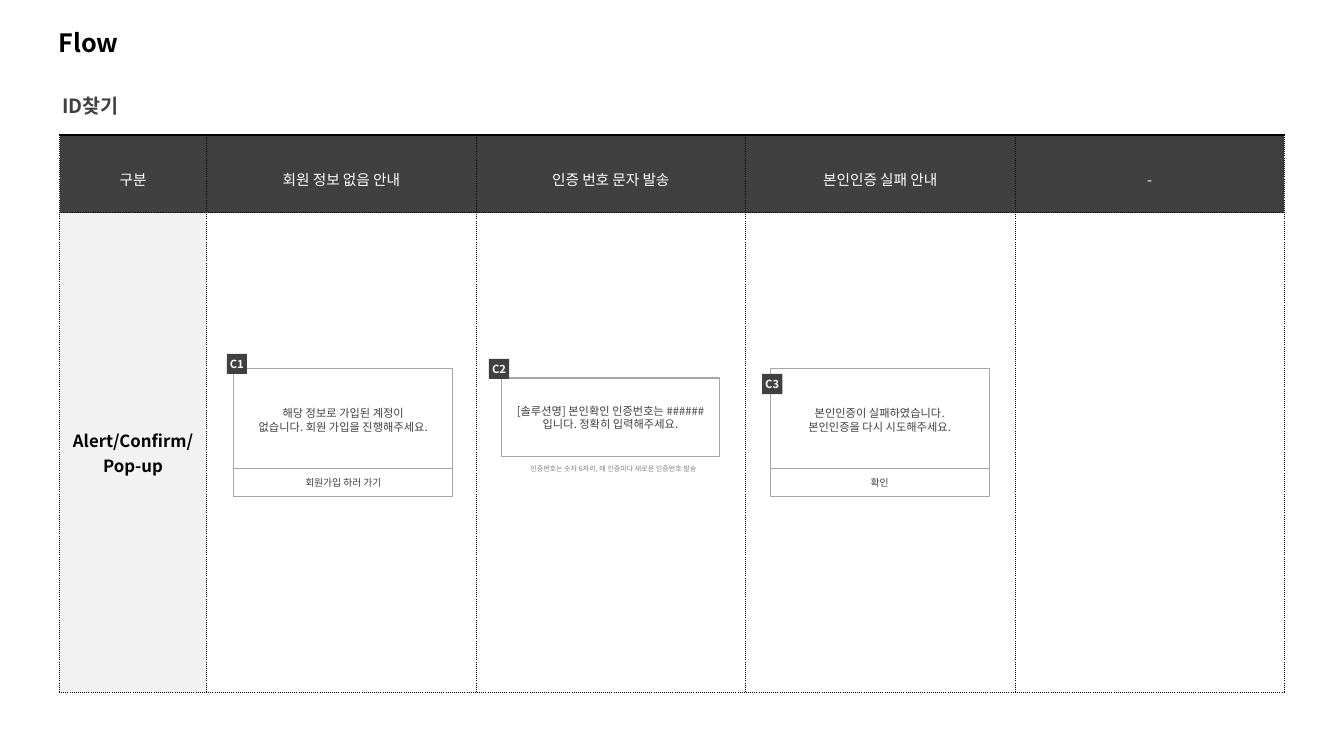
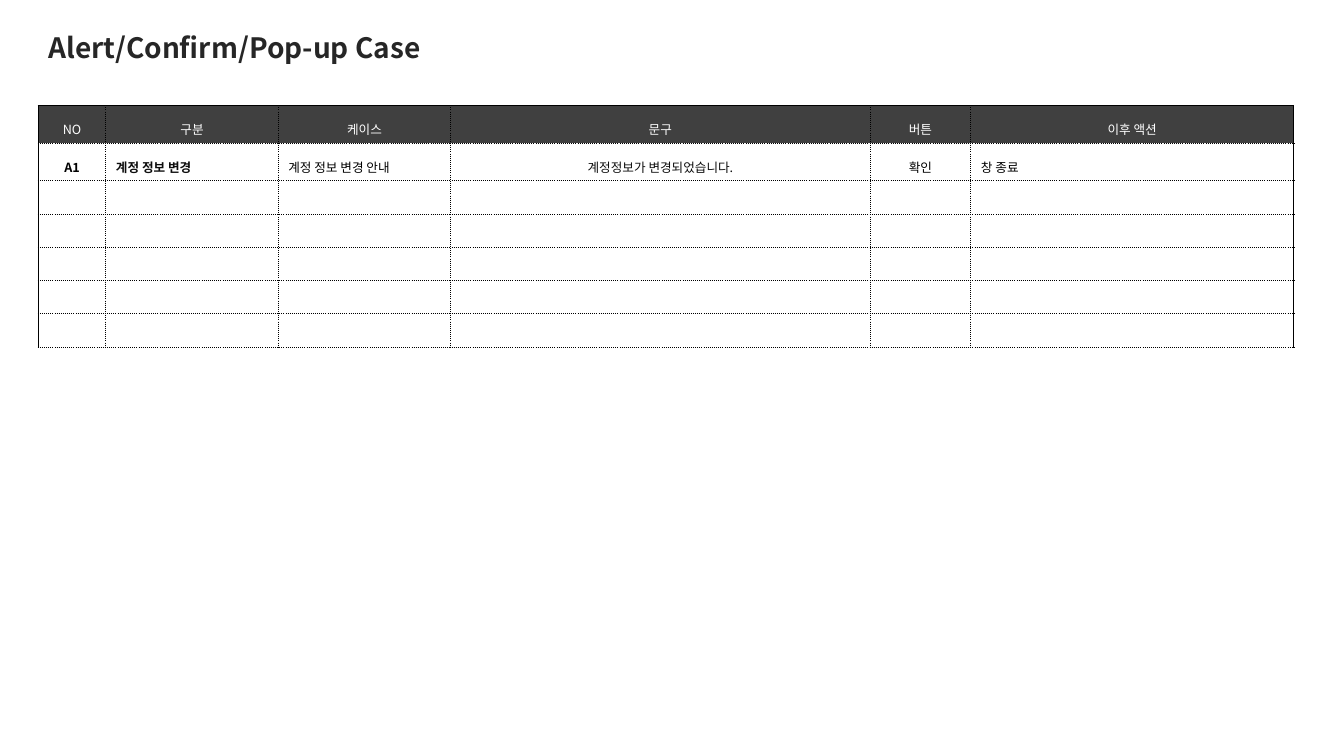
from lxml import etree
from pptx import Presentation
from pptx.dml.color import RGBColor
from pptx.enum.shapes import MSO_SHAPE
from pptx.enum.text import MSO_ANCHOR, MSO_AUTO_SIZE, PP_ALIGN
from pptx.oxml.ns import qn
from pptx.util import Inches, Pt

RECT = MSO_SHAPE.RECTANGLE
MIDDLE = MSO_ANCHOR.MIDDLE
NO_FIT = MSO_AUTO_SIZE.NONE
LEFT, CENTER = PP_ALIGN.LEFT, PP_ALIGN.CENTER

FONT = "Noto Sans CJK KR"
BLACK = RGBColor(0x00, 0x00, 0x00)
INK = RGBColor(0x0D, 0x0D, 0x0D)
TITLE_INK = RGBColor(0x26, 0x26, 0x26)
DARK = RGBColor(0x40, 0x40, 0x40)
MID = RGBColor(0x80, 0x80, 0x80)
RULE = RGBColor(0xA6, 0xA6, 0xA6)
PALE = RGBColor(0xF2, 0xF2, 0xF2)
WHITE = RGBColor(0xFF, 0xFF, 0xFF)

SOLID, DOTTED = (1, "solid"), (0.75, "sysDot")

# Slide 1
FLOW_HEADERS = ["구분", "회원 정보 없음 안내", "인증 번호 문자 발송", "본인인증 실패 안내", "-"]
FLOW_ROW = "Alert/Confirm/\nPop-up"
FLOW_LEFT, FLOW_TOP, FLOW_WIDTH = 0.59, 1.34, 12.15
FLOW_FIRST_COL = 1.46
FLOW_ROWS = [0.77, 4.76]

DIALOG_W, BUTTON_H, BADGE = 2.17, 0.28, 0.2
# message, button, left, top, message height, badge, badge position
DIALOGS = [
    ("해당 정보로 가입된 계정이\n없습니다. 회원 가입을 진행해주세요.", "회원가입 하러 가기",
     2.32, 3.66, 1.01, "C1", (2.25, 3.51)),
    ("[솔루션명] 본인확인 인증번호는 ###### 입니다. 정확히 입력해주세요.", None,
     4.97, 3.75, 0.78, "C2", (4.85, 3.56)),
    ("본인인증이 실패하였습니다.\n본인인증을 다시 시도해주세요.", "확인",
     7.64, 3.66, 1.01, "C3", (7.56, 3.71)),
]
CODE_NOTE = "인증번호는 숫자 6자리, 매 인증마다 새로운 인증번호 발송"

# Slide 2: header, width, text of the first case, its format
CASE_COLUMNS = [
    ("NO", 0.67, "A1", dict(bold=True, color=BLACK)),
    ("구분", 1.71, "계정 정보 변경", dict(bold=True, color=INK, align=LEFT)),
    ("케이스", 1.71, "계정 정보 변경 안내", dict(color=BLACK, align=LEFT)),
    ("문구", 4.16, "계정정보가 변경되었습니다.", dict(color=INK)),
    ("버튼", 1, "확인", dict(color=BLACK)),
    ("이후 액션", 3.2, "창 종료", dict(color=BLACK, align=LEFT)),
]
CASE_ROWS = [0.31] + [0.33] * 6


def write(tf, text, size, color, bold=False, align=CENTER, spacing=1.0):
    for i, line in enumerate(text.split("\n")):
        p = tf.add_paragraph() if i else tf.paragraphs[0]
        p.alignment, p.line_spacing = align, spacing
        r = p.add_run()
        r.text = line
        for name, value in dict(name=FONT, size=Pt(size), bold=bold).items():
            setattr(r.font, name, value)
        r.font.color.rgb = color
        etree.SubElement(r.font._element, qn("a:ea"), typeface=FONT)


def set_frame(tf, wrap=True, **margins):
    tf.auto_size, tf.word_wrap, tf.vertical_anchor = NO_FIT, wrap, MIDDLE
    for side, value in margins.items():
        setattr(tf, "margin_" + side, Inches(value))


def add_title_slide(prs, title, box, size, color, spacing=1.0):
    s = prs.slides.add_slide(prs.slide_layouts[5])
    sp = s.shapes.title
    sp.left, sp.top, sp.width, sp.height = map(Inches, box)
    set_frame(sp.text_frame)
    write(sp.text_frame, title, size, color, True, LEFT, spacing)
    return s


def add_box(shapes, box, text, size, color, fill=None, line=None, bold=False, **frame):
    sp = shapes.add_shape(RECT, *map(Inches, box))
    sp.shadow.inherit = False
    if fill is None:
        sp.fill.background()
    else:
        sp.fill.solid()
        sp.fill.fore_color.rgb = fill
    if line is None:
        sp.line.fill.background()
    else:
        sp.line.color.rgb = line
        sp.line.width = Pt(0.75)
    set_frame(sp.text_frame, **frame)
    write(sp.text_frame, text, size, color, bold)


def set_borders(cell, **sides):
    tc_pr = cell._tc.get_or_add_tcPr()
    for i, side in enumerate("LRTB"):
        width, dash = sides[side]
        ln = etree.Element(qn("a:ln" + side), w=str(Pt(width)))
        fill = etree.SubElement(ln, qn("a:solidFill"))
        etree.SubElement(fill, qn("a:srgbClr"), val=str(BLACK))
        etree.SubElement(ln, qn("a:prstDash"), val=dash)
        tc_pr.insert(i, ln)


def add_grid(s, left, top, widths, heights, headers, size, edge):
    """Add a table with a dark header row; edge is the line at its left and right."""
    table = s.shapes.add_table(len(heights), len(widths), Inches(left), Inches(top),
                               Inches(sum(widths)), Inches(sum(heights))).table
    for col, width in zip(table.columns, widths):
        col.width = Inches(width)
    last = len(widths) - 1
    for y, (row, height) in enumerate(zip(table.rows, heights)):
        row.height = Inches(height)
        for x, cell in enumerate(row.cells):
            cell.vertical_anchor = MIDDLE
            cell.fill.solid()
            cell.fill.fore_color.rgb = WHITE if y else DARK
            set_borders(cell, L=DOTTED if x else edge, R=edge if x == last else DOTTED,
                        T=DOTTED if y else SOLID, B=DOTTED)
            if y == 0:
                write(cell.text_frame, headers[x], size, WHITE, spacing=1.5)
            else:
                p = cell.text_frame.paragraphs[0]
                etree.SubElement(p._p, qn("a:endParaRPr"), sz=str(Pt(size).centipoints))
    return table


def build_flow(prs):
    s = add_title_slide(prs, "Flow", (0.48, 0.22, 8.51, 0.4), 18, BLACK)
    tf = s.shapes.add_textbox(*map(Inches, (0.52, 0.88, 11.65, 0.34))).text_frame
    set_frame(tf)
    write(tf, "ID찾기", 14, DARK, True, LEFT)

    cases = len(FLOW_HEADERS) - 1
    widths = [FLOW_FIRST_COL] + [(FLOW_WIDTH - FLOW_FIRST_COL) / cases] * cases
    table = add_grid(s, FLOW_LEFT, FLOW_TOP, widths, FLOW_ROWS, FLOW_HEADERS, 10.5, DOTTED)
    cell = table.cell(1, 0)
    cell.fill.fore_color.rgb = PALE
    write(cell.text_frame, FLOW_ROW, 12, BLACK, True)

    panel = dict(color=DARK, fill=WHITE, line=RULE, left=0, right=0)
    for message, button, left, top, height, badge, corner in DIALOGS:
        shapes = s.shapes.add_group_shape().shapes if button else s.shapes
        add_box(shapes, (left, top, DIALOG_W, height), message, 8, **panel)
        if button:
            add_box(shapes, (left, top + height - 0.02, DIALOG_W, BUTTON_H), button, 7, **panel)
        add_box(s.shapes, (*corner, BADGE, BADGE), badge, 8, WHITE, DARK, bold=True, wrap=False)
    add_box(s.shapes, (5.82, 4.6, 0.53, 0.1), CODE_NOTE, 5, MID, wrap=False)


def build_cases(prs):
    s = add_title_slide(prs, "Alert/Confirm/Pop-up Case", (0.38, 0.3, 6.29, 0.38),
                        20, TITLE_INK, 0.9)
    headers, widths, texts, formats = zip(*CASE_COLUMNS)
    table = add_grid(s, 0.38, 1.05, widths, CASE_ROWS, headers, 9, SOLID)
    for x, (text, fmt) in enumerate(zip(texts, formats)):
        write(table.cell(1, x).text_frame, text, 9, spacing=1.5, **fmt)


def main():
    prs = Presentation()
    prs.slide_width, prs.slide_height = Inches(13.33), Inches(7.5)
    build_flow(prs)
    build_cases(prs)
    prs.save("out.pptx")


if __name__ == "__main__":
    main()
